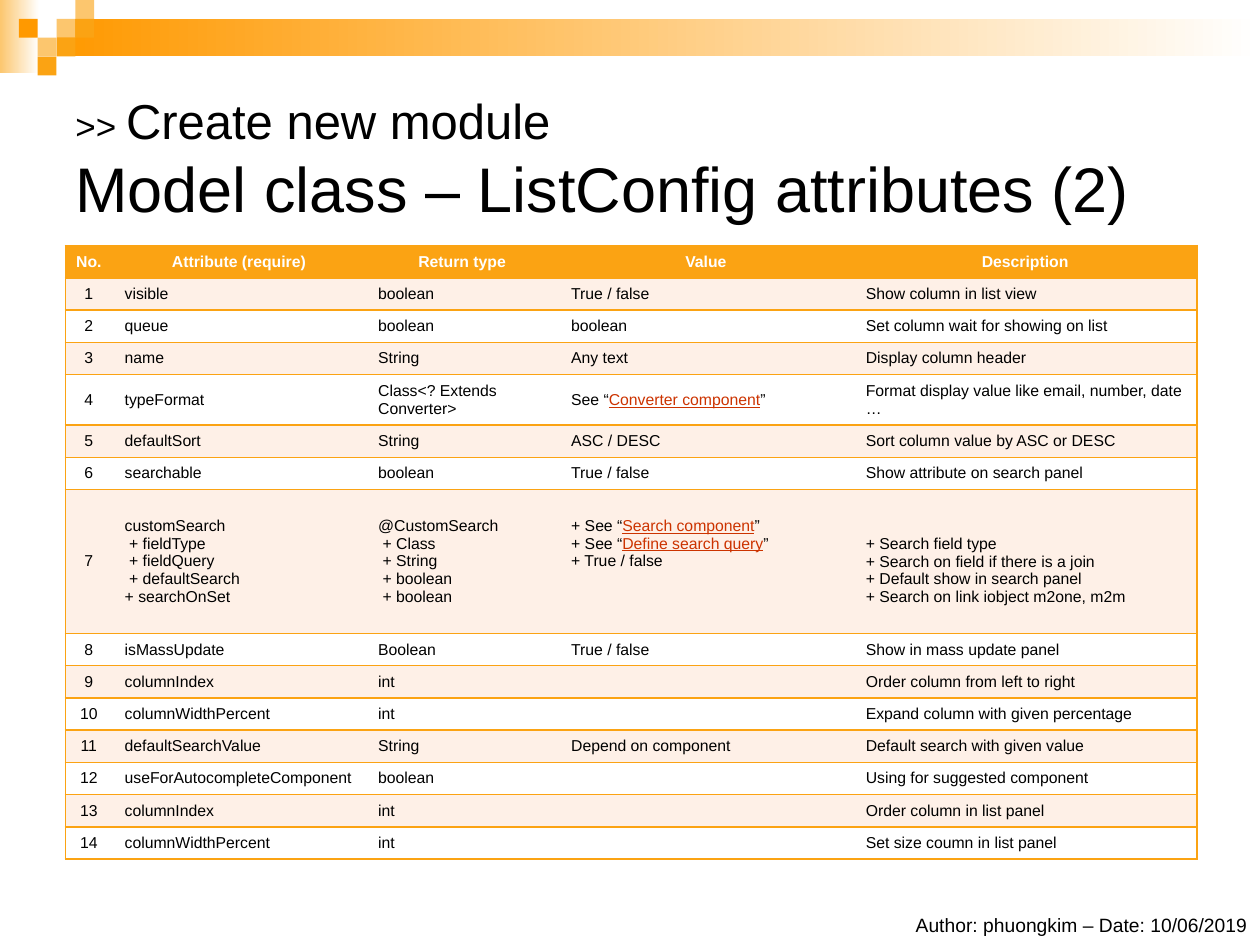
from lxml import etree
from pptx import Presentation, util as u
from pptx.dml.color import RGBColor
from pptx.enum import shapes, text
from pptx.oxml import ns

ORANGE, DEEP, PALE, CREAM = "FBA313", "FF9900", "FCC66E", "FEF0E7"
WHITE, BLACK, LINK = "FFFFFF", "000000", "CC3300"
NO_STYLE = "{2D5ABB26-0587-4C30-8999-92F81FD0307C}"


def paint(target, *colours):
    """Fill with one colour, or with a left-to-right gradient of two."""
    if len(colours) == 1:
        target.fill.solid()
        target.fill.fore_color.rgb = RGBColor.from_string(colours[0])
        return
    target.fill.gradient()
    target.fill.gradient_angle = 0
    for stop, colour, place in zip(target.fill.gradient_stops, colours, (0, 1)):
        stop.color.rgb = RGBColor.from_string(colour)
        stop.position = place


def set_font(font, size, colour=BLACK, bold=False):
    font.name = "Arial"
    font.size = u.Pt(size)
    font.bold = bold
    font.color.rgb = RGBColor.from_string(colour)


deck = Presentation()
deck.slide_width, deck.slide_height = u.Cm(25.4), u.Cm(19.05)
page = deck.slides.add_slide(deck.slide_layouts[6])

# Banner: two gradient bars and a checkered corner
UNIT = 0.38
bars = [
    (0, 0, 0.79, 1.47, (PALE, WHITE)),
    (1.14, UNIT, 24.26, 0.76, (DEEP, WHITE)),
]
squares = [
    (3, 1, PALE), (4, 0, PALE), (4, 1, ORANGE), (2, 2, PALE),
    (1, 1, DEEP), (3, 2, ORANGE), (2, 3, ORANGE),
]
for column, row, colour in squares:
    bars.append((column * UNIT, row * UNIT, UNIT, UNIT, (colour,)))
for left, top, width, height, colours in bars:
    bar = page.shapes.add_shape(
        shapes.MSO_SHAPE.RECTANGLE, u.Cm(left), u.Cm(top), u.Cm(width), u.Cm(height))
    bar.shadow.inherit = False
    bar.line.fill.background()
    paint(bar, *colours)

# Title
title = page.shapes.add_textbox(u.Cm(1.27), u.Cm(1.27), u.Cm(22.86), u.Cm(3.81))
title.text_frame.word_wrap = True
title.text_frame.vertical_anchor = text.MSO_ANCHOR.MIDDLE
para = title.text_frame.paragraphs[0]
set_font(para.font, 36)
for words, size in ((">> ", 20), ("Create new module ", 28)):
    span = para.add_run()
    span.text = words
    span.font.size = u.Pt(size)
para.add_line_break()
para.add_run().text = "Model class – ListConfig attributes (2)"

# Author line
footer = page.shapes.add_textbox(u.Cm(12.9), u.Cm(18.29), u.Cm(12.5), u.Cm(0.74))
footer.text_frame.word_wrap = True
para = footer.text_frame.paragraphs[0]
para.text = "Author: phuongkim – Date: 10/06/2019"
para.alignment = text.PP_ALIGN.RIGHT
set_font(para.font, 11)

# Attribute table; words in “ ” are shown as links
header = ("No.", "Attribute (require)", "Return type", "Value", "Description")
attributes = [
    ("visible", "boolean", "True / false", "Show column in list view"),
    ("queue", "boolean", "boolean", "Set column wait for showing on list"),
    ("name", "String", "Any text", "Display column header"),
    ("typeFormat", "Class<? Extends Converter>", "See “Converter component”",
     "Format display value like email, number, date …"),
    ("defaultSort", "String", "ASC / DESC", "Sort column value by ASC or DESC"),
    ("searchable", "boolean", "True / false", "Show attribute on search panel"),
    ("customSearch\n + fieldType\n + fieldQuery\n + defaultSearch\n+ searchOnSet",
     "@CustomSearch\n + Class\n + String\n + boolean\n + boolean",
     "+ See “Search component”\n+ See “Define search query”\n+ True / false",
     "+ Search field type\n+ Search on field if there is a join\n"
     "+ Default show in search panel\n+ Search on link iobject m2one, m2m"),
    ("isMassUpdate", "Boolean", "True / false", "Show in mass update panel"),
    ("columnIndex", "int", "", "Order column from left to right"),
    ("columnWidthPercent", "int", "", "Expand column with given percentage"),
    ("defaultSearchValue", "String", "Depend on component",
     "Default search with given value"),
    ("useForAutocompleteComponent", "boolean", "", "Using for suggested component"),
    ("columnIndex", "int", "", "Order column in list panel"),
    ("columnWidthPercent", "int", "", "Set size coumn in list panel"),
]
rows = [header] + [(str(n), *entry) for n, entry in enumerate(attributes, 1)]
widths = (0.94, 5.11, 3.89, 5.94, 6.93)
heights = [0.65] * len(rows)
heights[4], heights[7] = 1, 2.9

table = page.shapes.add_table(
    len(rows), len(widths), u.Cm(1.32), u.Cm(4.95),
    u.Cm(sum(widths)), u.Cm(sum(heights))).table
table._tbl.tblPr.find(ns.qn("a:tableStyleId")).text = NO_STYLE
for column, width in zip(table.columns, widths):
    column.width = u.Cm(width)

for r, (row, height) in enumerate(zip(rows, heights)):
    table.rows[r].height = u.Cm(height)
    for c, words in enumerate(row):
        cell = table.cell(r, c)
        cell.vertical_anchor = text.MSO_ANCHOR.MIDDLE
        if c == 0:
            cell.margin_left = cell.margin_right = u.Cm(0.1)

        # Borders must precede the fill in the cell properties
        edges = ["a:lnT", "a:lnB"]
        if c == 0:
            edges.insert(0, "a:lnL")
        if c == len(widths) - 1:
            edges.insert(0, "a:lnR")
        for edge in edges:
            line = etree.SubElement(
                cell._tc.get_or_add_tcPr(), ns.qn(edge), w=str(u.Pt(1)))
            solid = etree.SubElement(line, ns.qn("a:solidFill"))
            etree.SubElement(solid, ns.qn("a:srgbClr"), val=ORANGE)
        paint(cell, ORANGE if r == 0 else CREAM if r % 2 else WHITE)

        cell.text = words
        for para in cell.text_frame.paragraphs:
            set_font(para.font, 9, BLACK if r else WHITE, bold=r == 0)
            if r == 0 or c == 0:
                para.alignment = text.PP_ALIGN.CENTER
            if "“" in para.text:
                lead, link = para.text.rstrip("”").split("“")
                para.clear()
                para.add_run().text = lead + "“"
                span = para.add_run()
                span.text = link
                span.font.underline = True
                span.font.color.rgb = RGBColor.from_string(LINK)
                para.add_run().text = "”"

# Line the shorter lists up with the customSearch entries
table.cell(7, 3).margin_bottom = u.Cm(0.85)
table.cell(7, 4).margin_top = u.Cm(0.49)

deck.save("out.pptx")
